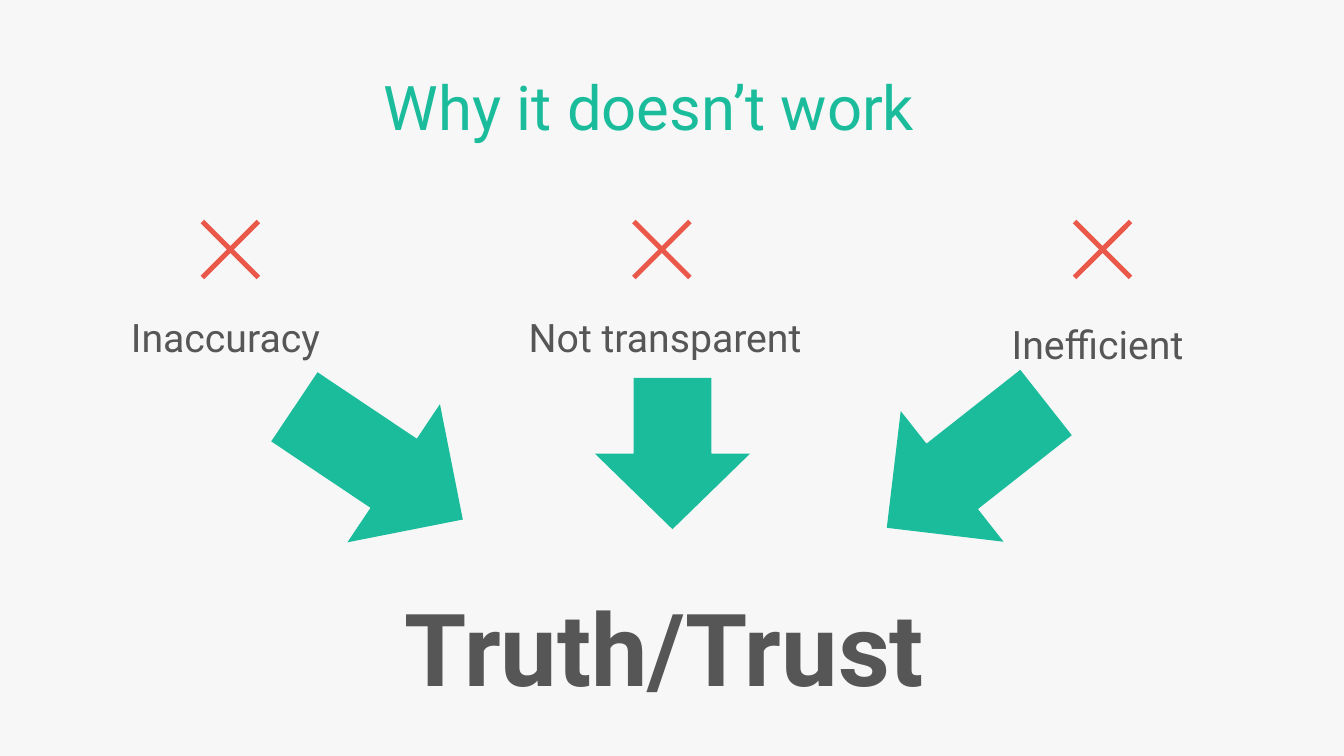
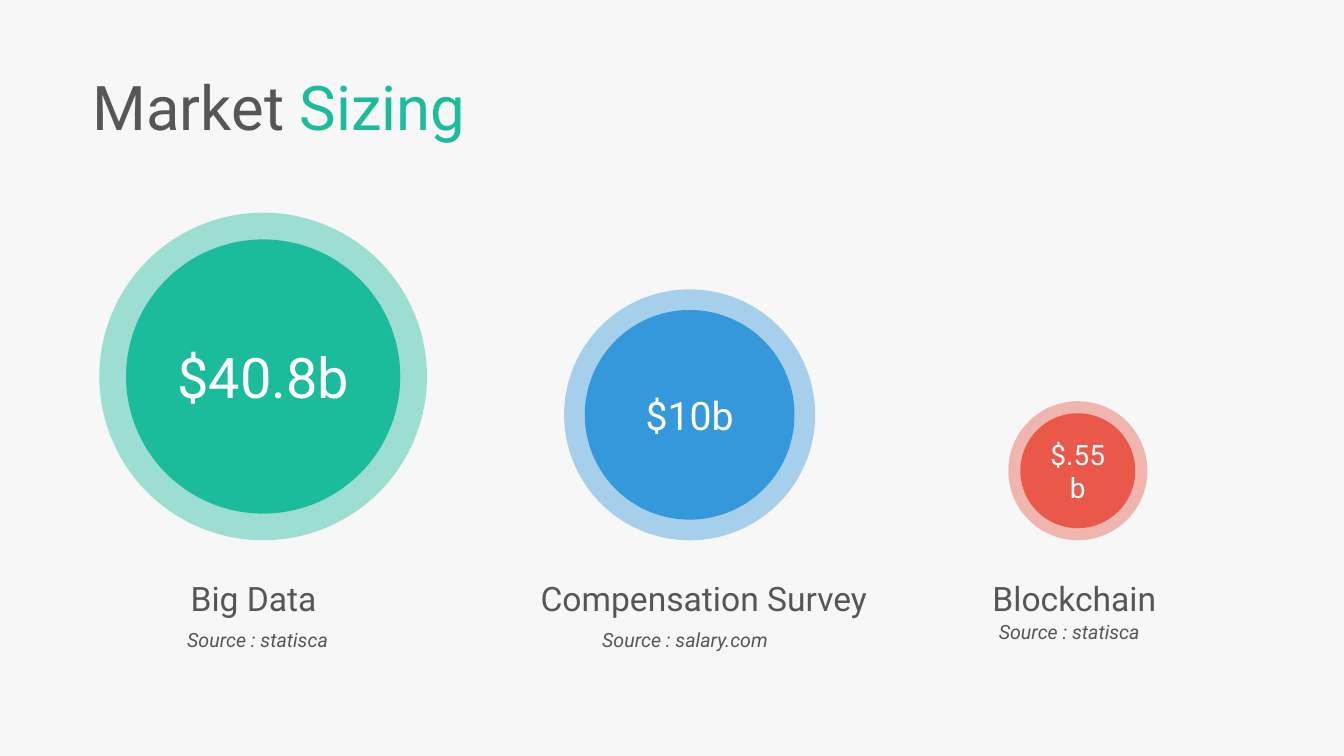
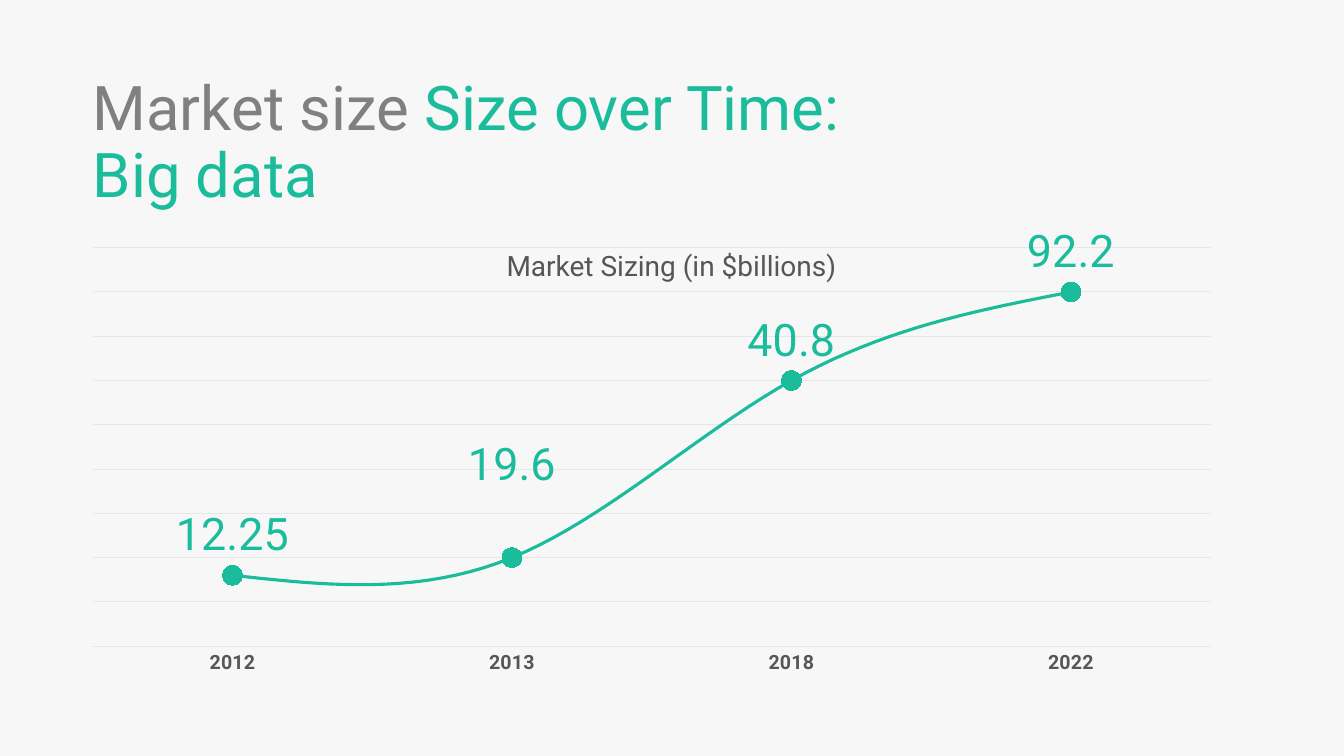
from dataclasses import dataclass

from lxml.etree import SubElement
from pptx import Presentation
from pptx.chart.data import CategoryChartData
from pptx.dml.color import RGBColor
from pptx.enum.chart import XL_CHART_TYPE as ChartType, XL_LABEL_POSITION as LabelPosition
from pptx.enum.chart import XL_MARKER_STYLE as MarkerStyle, XL_TICK_MARK as TickMark
from pptx.enum.shapes import MSO_SHAPE as Shape
from pptx.enum.text import MSO_ANCHOR as Anchor, PP_ALIGN as Align
from pptx.oxml import parse_xml
from pptx.oxml.ns import nsdecls, qn
from pptx.util import Inches, Pt


@dataclass(frozen=True)
class Theme:
    font: str = "Roboto"
    background: RGBColor = RGBColor(0xF7, 0xF7, 0xF7)
    text: RGBColor = RGBColor(0x56, 0x56, 0x56)
    muted: RGBColor = RGBColor(0x80, 0x80, 0x80)
    white: RGBColor = RGBColor(0xFF, 0xFF, 0xFF)
    grid: RGBColor = RGBColor(0xE6, 0xE6, 0xE6)
    green: RGBColor = RGBColor(0x1A, 0xBC, 0x9C)
    blue: RGBColor = RGBColor(0x34, 0x98, 0xDB)
    red: RGBColor = RGBColor(0xE9, 0x58, 0x49)
    conclusion: int = 72
    title: int = 44
    data_label: int = 32
    reason: int = 28
    market: int = 24
    caption: int = 20
    small: int = 14
    chart: int = 10


theme = Theme()


def add_text(slide, left, top, width, height, runs, size, align=Align.CENTER, spacing=1.0,
             bold=False, italic=False):
    """Add a one-paragraph text box; runs is a list of (text, colour)."""
    box = slide.shapes.add_textbox(Inches(left), Inches(top), Inches(width), Inches(height))
    frame = box.text_frame
    frame.word_wrap = True
    frame.margin_left = 0
    paragraph = frame.paragraphs[0]
    paragraph.alignment = align
    paragraph.line_spacing = spacing
    font = paragraph.font
    font.name, font.size, font.bold, font.italic = theme.font, Pt(size), bold, italic
    for text, color in runs:
        run = paragraph.add_run()
        run.text = text
        run.font.color.rgb = color


def paint(shape, color, alpha=None):
    """Give a shape a plain fill, optionally transparent (alpha in percent)."""
    shape.shadow.inherit = False
    shape.fill.solid()
    shape.fill.fore_color.rgb = color
    shape.line.fill.background()
    if alpha is not None:
        fill_color = shape.fill._xPr.find(qn("a:solidFill"))[0]
        SubElement(fill_color, qn("a:alpha"), val=str(alpha * 1000))


presentation = Presentation()
presentation.slide_width = Inches(13.33)
presentation.slide_height = Inches(7.5)

# Title of each slide: width, height, alignment, runs
titles = [
    (11.14, 0.77, Align.CENTER, [("Why it doesn’t work", theme.green)]),
    (4.9, 0.77, Align.LEFT, [("Market ", theme.text), ("Sizing", theme.green)]),
    (7.84, 1.43, Align.LEFT, [("Market size ", theme.muted), ("Size over Time: Big data", theme.green)]),
]
slides = []
for width, height, align, runs in titles:
    slide = presentation.slides.add_slide(presentation.slide_layouts[6])
    slide.background.fill.solid()
    slide.background.fill.fore_color.rgb = theme.background
    add_text(slide, 0.92, 0.72, width, height, runs, theme.title, align, 0.9)
    slides.append(slide)
reasons_slide, sizing_slide, growth_slide = slides

# Reasons leading to the conclusion
reasons = [
    ("Inaccuracy", 0.86, 3.06, 2.85, 1.0, 1.99),
    ("Not transparent", 5.22, 3.06, 2.85, 1.0, 6.27),
    ("Inefficient", 9.68, 3.04, 2.51, 1.2, 10.64),
]
# Outline of a cross, in thousandths of an inch
cross_points = [(590, 35), (555, 0), (295, 260), (35, 0), (0, 35), (260, 295),
                (0, 555), (35, 590), (295, 330), (555, 590), (590, 555), (330, 295)]
for text, left, top, width, spacing, cross_left in reasons:
    add_text(reasons_slide, left, top, width, 0.6, [(text, theme.text)], theme.reason, spacing=spacing)
    builder = reasons_slide.shapes.build_freeform(*cross_points[0], scale=Inches(1) / 1000)
    builder.add_line_segments(cross_points[1:], close=True)
    paint(builder.convert_to_shape(Inches(cross_left), Inches(2.18)), theme.red)

for left, top, width, height, rotation in [
    (2.93, 3.59, 1.65, 2.01, 303.8),
    (5.9, 3.75, 1.54, 1.5, 0),
    (8.76, 3.61, 1.65, 2.01, 51.8),
]:
    arrow = reasons_slide.shapes.add_shape(
        Shape.DOWN_ARROW, Inches(left), Inches(top), Inches(width), Inches(height))
    arrow.rotation = rotation
    paint(arrow, theme.green)
add_text(reasons_slide, 3.45, 5.52, 6.38, 1.42, [("Truth/Trust", theme.text)],
         theme.conclusion, spacing=1.2, bold=True)

# Market circles standing on one baseline
baseline = 5.36
markets = [
    # value, size, colour, centre, ring, disc, name, name left, width, source, source left, top
    ("$40.8b", 40, theme.green, 2.61, 3.25, 2.72, "Big Data", 1.15, 2.83, "statisca", 1.19, 6.13),
    ("$10b", 28, theme.blue, 6.84, 2.49, 2.08, "Compensation Survey", 5.31, 3.44, "salary.com", 5.43, 6.13),
    ("$.55b", 20, theme.red, 10.69, 1.38, 1.14, "Blockchain", 9.29, 2.83, "statisca", 9.24, 6.05),
]
for (value, size, color, center, ring, disc, name, name_left, name_width,
     source, source_left, source_top) in markets:
    for diameter, alpha in [(ring, 41), (disc, None)]:
        circle = sizing_slide.shapes.add_shape(
            Shape.OVAL, Inches(center - diameter / 2), Inches(baseline - (ring + diameter) / 2),
            Inches(diameter), Inches(diameter))
        paint(circle, color, alpha)
    frame = circle.text_frame
    frame.word_wrap = True
    frame.vertical_anchor = Anchor.MIDDLE
    paragraph = frame.paragraphs[0]
    paragraph.text = value
    paragraph.alignment = Align.CENTER
    paragraph.font.name, paragraph.font.size = theme.font, Pt(size)
    paragraph.font.color.rgb = theme.white
    add_text(sizing_slide, name_left, 5.6, name_width, 0.54, [(name, theme.text)],
             theme.market, spacing=1.2)
    add_text(sizing_slide, source_left, source_top, 2.83, 0.36, [(f"Source : {source}", theme.text)],
             theme.small, spacing=1.2, italic=True)

# Growth chart
data = CategoryChartData()
data.categories = ["2012", "2013", "2018", "2022"]
data.add_series("Series 1", [0.8, 1, 3, 4])
chart = growth_slide.shapes.add_chart(
    ChartType.LINE_MARKERS, Inches(0.69), Inches(1.87), Inches(11.49), Inches(5.25), data).chart
chart.has_title = False
chart.has_legend = False
chart.font.name, chart.font.size = theme.font, Pt(theme.chart)
chart.font.color.rgb = theme.text

plot_area = chart.plots[0]._element.getparent()
for old_layout in plot_area.findall(qn("c:layout")):
    plot_area.remove(old_layout)
plot_area.insert(0, parse_xml(
    f'<c:layout {nsdecls("c")}><c:manualLayout><c:layoutTarget val="inner"/>'
    '<c:xMode val="edge"/><c:yMode val="edge"/><c:x val="0.02"/><c:y val="0.112"/>'
    '<c:w val="0.965"/><c:h val="0.753"/></c:manualLayout></c:layout>'))

category_axis = chart.category_axis
category_axis.major_tick_mark = TickMark.NONE
category_axis.format.line.color.rgb = theme.grid
category_axis.format.line.width = Pt(0.75)
axis_font = category_axis.tick_labels.font
axis_font.name, axis_font.size, axis_font.bold = theme.font, Pt(theme.small), True
axis_font.color.rgb = theme.text

value_axis = chart.value_axis
value_axis.visible = False
value_axis.minimum_scale, value_axis.maximum_scale, value_axis.major_unit = 0, 4.5, 0.5
value_axis.major_gridlines.format.line.color.rgb = theme.grid
value_axis.major_gridlines.format.line.width = Pt(0.75)

chart.plots[0].vary_by_categories = False
series = chart.plots[0].series[0]
series.smooth = True
series.format.line.color.rgb = theme.green
series.format.line.width = Pt(2.25)
series.marker.style = MarkerStyle.CIRCLE
series.marker.size = 14
series.marker.format.fill.solid()
series.marker.format.fill.fore_color.rgb = theme.green
series.marker.format.line.color.rgb = theme.green

labels = series.data_labels
labels.show_value = True
labels.position = LabelPosition.ABOVE
labels.font.name, labels.font.size = theme.font, Pt(theme.data_label)
labels.font.color.rgb = theme.green
for index, text in enumerate(["12.25", "19.6\n", "40.8", "92.2"]):
    label = series.points[index].data_label
    run = label.text_frame.paragraphs[0].add_run()
    run.text = text
    run.font.name, run.font.size = theme.font, Pt(theme.data_label)
    run.font.color.rgb = theme.green
    label.position = LabelPosition.ABOVE

add_text(growth_slide, 4.37, 2.42, 4.68, 0.44, [("Market Sizing (in $billions)", theme.text)],
         theme.caption)

presentation.save("out.pptx")
